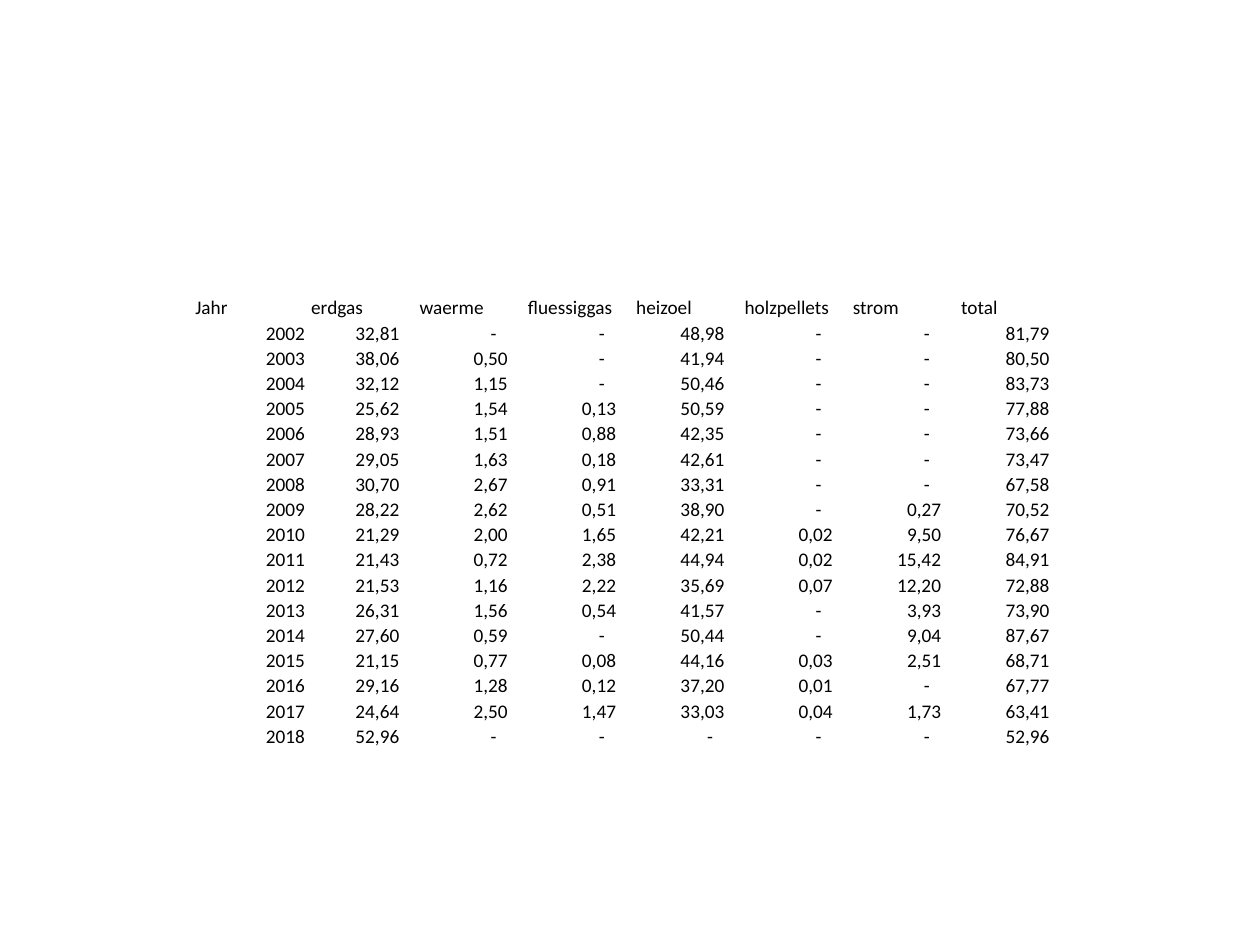
from dataclasses import dataclass

from pptx import Presentation
from pptx.dml.color import RGBColor
from pptx.enum.text import MSO_ANCHOR, PP_ALIGN
from pptx.util import Inches, Pt

LEFT, RIGHT = PP_ALIGN.LEFT, PP_ALIGN.RIGHT
BOTTOM = MSO_ANCHOR.BOTTOM
COLORS = {"text": "000000"}
FONT = {"name": "Calibri", "size": Pt(11), "bold": False}
YEAR_WIDTH, FUEL_WIDTH, ROW_HEIGHT = 0.89, 0.86, 0.2
FIRST_YEAR = 2002

HEADERS = "Jahr erdgas waerme fluessiggas heizoel holzpellets strom total".split()
CONSUMPTION = """
32,81 - - 48,98 - - 81,79
38,06 0,50 - 41,94 - - 80,50
32,12 1,15 - 50,46 - - 83,73
25,62 1,54 0,13 50,59 - - 77,88
28,93 1,51 0,88 42,35 - - 73,66
29,05 1,63 0,18 42,61 - - 73,47
30,70 2,67 0,91 33,31 - - 67,58
28,22 2,62 0,51 38,90 - 0,27 70,52
21,29 2,00 1,65 42,21 0,02 9,50 76,67
21,43 0,72 2,38 44,94 0,02 15,42 84,91
21,53 1,16 2,22 35,69 0,07 12,20 72,88
26,31 1,56 0,54 41,57 - 3,93 73,90
27,60 0,59 - 50,44 - 9,04 87,67
21,15 0,77 0,08 44,16 0,03 2,51 68,71
29,16 1,28 0,12 37,20 0,01 - 67,77
24,64 2,50 1,47 33,03 0,04 1,73 63,41
52,96 - - - - - 52,96
"""


@dataclass(frozen=True)
class CellStyle:
    """Alignment and side margins, in inches, of one kind of cell."""
    alignment: PP_ALIGN
    left: float = 0.01
    right: float = 0.01


YEAR_HEADER = CellStyle(LEFT)
FUEL_HEADER = CellStyle(LEFT, left=0.04)
YEAR = CellStyle(RIGHT)
NUMBER = CellStyle(RIGHT, right=0.12)
DASH = CellStyle(RIGHT, right=0.21)


def choose_style(row: int, column: int, text: str) -> CellStyle:
    """Return the style that fits a cell's place and content."""
    if row == 0:
        return FUEL_HEADER if column else YEAR_HEADER
    if column == 0:
        return YEAR
    return DASH if text == "-" else NUMBER


def fill_cell(cell, text: str, style: CellStyle) -> None:
    """Write text into a transparent cell."""
    layout = {
        "margin_left": Inches(style.left),
        "margin_right": Inches(style.right),
        "margin_top": Inches(0.01),
        "margin_bottom": Inches(0),
        "vertical_anchor": BOTTOM,
    }
    for name, value in layout.items():
        setattr(cell, name, value)
    cell.fill.background()
    para = cell.text_frame.paragraphs[0]
    para.alignment = style.alignment
    span = para.add_run()
    span.text = text
    for name, value in FONT.items():
        setattr(span.font, name, value)
    span.font.color.rgb = RGBColor.from_string(COLORS["text"])


def add_consumption_table(page, rows: list[list[str]]) -> None:
    """Add the table of yearly consumption by fuel."""
    widths = [YEAR_WIDTH] + [FUEL_WIDTH] * (len(HEADERS) - 1)
    table = page.shapes.add_table(
        len(rows), len(widths), Inches(1.54), Inches(2.34),
        Inches(sum(widths)), Inches(ROW_HEIGHT * len(rows))).table
    table.first_row = table.horz_banding = False
    for column, width in zip(table.columns, widths):
        column.width = Inches(width)
    for row, texts in enumerate(rows):
        table.rows[row].height = Inches(ROW_HEIGHT)
        for column, text in enumerate(texts):
            fill_cell(table.cell(row, column), text, choose_style(row, column, text))


def main() -> None:
    """Build and save the deck."""
    deck = Presentation()
    deck.slide_width, deck.slide_height = Inches(10), Inches(7.5)
    page = deck.slides.add_slide(deck.slide_layouts[6])
    lines = CONSUMPTION.strip().splitlines()
    years = [[str(year), *line.split()] for year, line in enumerate(lines, FIRST_YEAR)]
    add_consumption_table(page, [HEADERS, *years])
    deck.save("out.pptx")


main()
